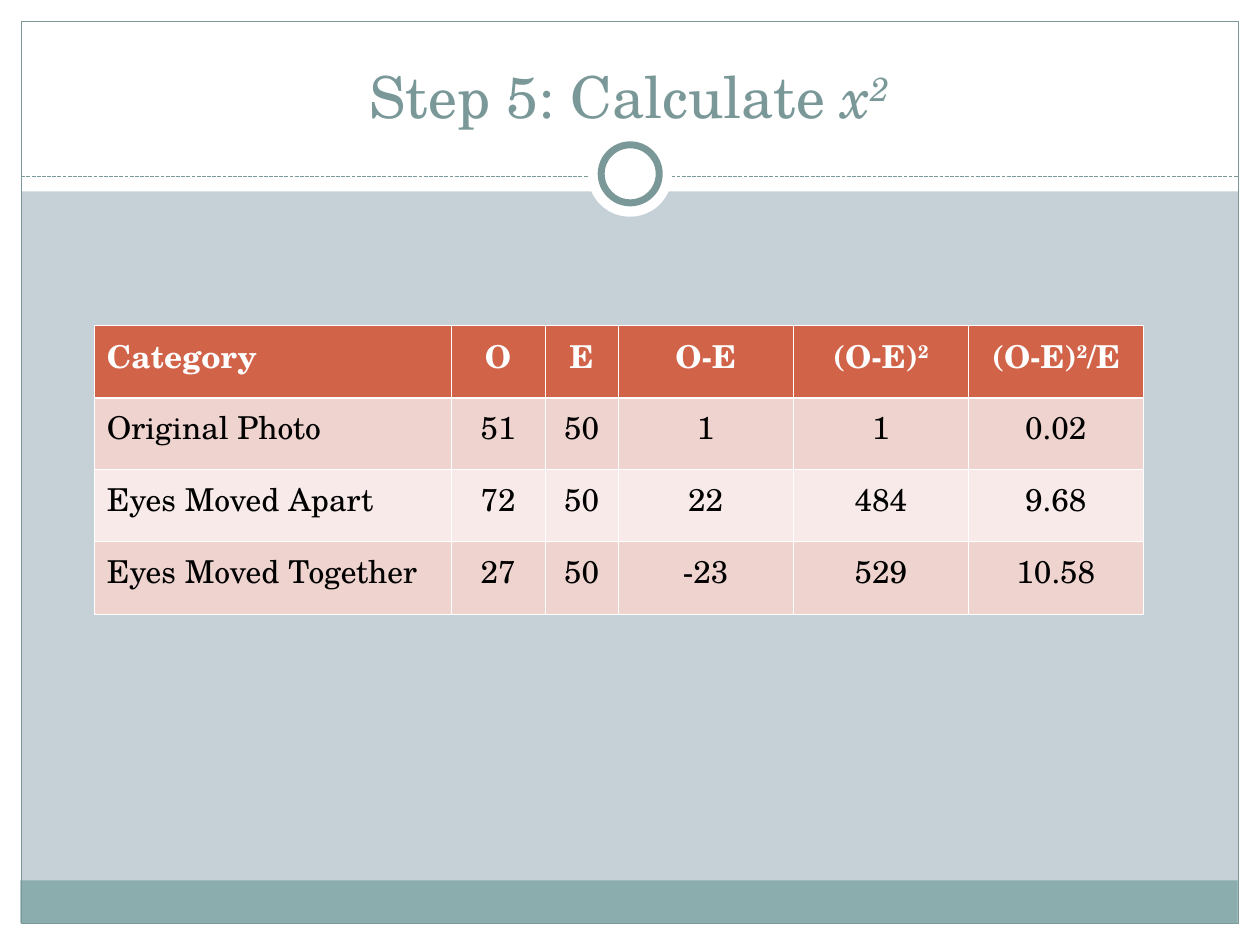
from lxml import etree
from pptx import Presentation
from pptx.dml.color import RGBColor
from pptx.enum.dml import MSO_LINE
from pptx.enum.shapes import MSO_CONNECTOR, MSO_SHAPE
from pptx.enum.text import MSO_ANCHOR, PP_ALIGN
from pptx.oxml.ns import qn
from pptx.util import Cm, Pt

RECTANGLE, OVAL = MSO_SHAPE.RECTANGLE, MSO_SHAPE.OVAL
STRAIGHT, DASHED = MSO_CONNECTOR.STRAIGHT, MSO_LINE.SQUARE_DOT
LEFT, CENTER = PP_ALIGN.LEFT, PP_ALIGN.CENTER
FONT = "TeX Gyre Schola"
WHITE, TEAL = "FFFFFF", "7B9899"


def color(value):
    return RGBColor.from_string(value)


def write(frame, text, align, ink, formats):
    """Write one paragraph; parts between ^ marks are superscript."""
    para = frame.paragraphs[0]
    para.alignment = align
    for index, part in enumerate(text.split("^")):
        if not part:
            continue
        span = para.add_run()
        span.text = part
        span.font.color.rgb = color(ink)
        for name, value in formats.items():
            setattr(span.font, name, value)
        if index % 2:
            span.font._element.set("baseline", "30000")
    return para


deck = Presentation()
deck.slide_width, deck.slide_height = Cm(25.4), Cm(19.05)
page = deck.slides.add_slide(deck.slide_layouts[6])
page.background.fill.solid()
page.background.fill.fore_color.rgb = color("C5D1D7")

# White margins, footer band, frame, divider and ring, from back to front
decorations = [
    (RECTANGLE, 0, 18.62, 25.4, 0.43, WHITE, None),
    (RECTANGLE, 0, 0, 25.4, 3.86, WHITE, None),
    (RECTANGLE, 0, 0, 0.43, 19.05, WHITE, None),
    (RECTANGLE, 24.97, 0, 0.43, 19.05, WHITE, None),
    (RECTANGLE, 0.41, 17.75, 24.54, 0.86, "8CADAE", None),
    (RECTANGLE, 0.43, 0.43, 24.54, 18.19, None, 0.75),
    ("divider", 0.43, 3.56, 24.54, 0, None, 0.75),
    (OVAL, 11.85, 2.67, 1.7, 1.7, WHITE, None),
    (OVAL, 12.12, 2.92, 1.17, 1.17, WHITE, 4),
]
for kind, left, top, width, height, fill, line_width in decorations:
    if kind == "divider":
        shape = page.shapes.add_connector(
            STRAIGHT, Cm(left), Cm(top), Cm(left + width), Cm(top))
        shape.line.dash_style = DASHED
        etree.SubElement(shape._element.spPr, qn("a:effectLst"))
    else:
        shape = page.shapes.add_shape(
            kind, Cm(left), Cm(top), Cm(width), Cm(height))
        shape.shadow.inherit = False
        if fill:
            shape.fill.solid()
            shape.fill.fore_color.rgb = color(fill)
        else:
            shape.fill.background()
    if line_width:
        shape.line.color.rgb = color(TEAL)
        shape.line.width = Pt(line_width)
    else:
        shape.line.fill.background()

# Title
title = page.shapes.add_textbox(Cm(0.84), Cm(0.64), Cm(23.7), Cm(2.11)).text_frame
title.word_wrap = True
title.vertical_anchor = MSO_ANCHOR.BOTTOM
heading = write(title, "Step 5: Calculate ", CENTER, TEAL,
                {"name": FONT, "size": Pt(33)})
write(title, "x^2", CENTER, TEAL, {"name": FONT, "size": Pt(33), "italic": True})

# Chi-square table
rows = [
    ["Category", "O", "E", "O-E", "(O-E)^2", "(O-E)^2^/E"],
    ["Original Photo", "51", "50", "1", "1", "0.02"],
    ["Eyes Moved Apart", "72", "50", "22", "484", "9.68"],
    ["Eyes Moved Together", "27", "50", "-23", "529", "10.58"],
]
row_fills = ["D16349", "EED3CF", "F7EAE9", "EED3CF"]
column_widths = [7.19, 1.9, 1.47, 3.53, 3.53, 3.53]
row_heights = [1.47, 1.45, 1.45, 1.47]
table = page.shapes.add_table(
    len(rows), len(column_widths), Cm(1.9), Cm(6.55),
    Cm(sum(column_widths)), Cm(sum(row_heights))).table
for column, width in zip(table.columns, column_widths):
    column.width = Cm(width)
for row, height in zip(table.rows, row_heights):
    row.height = Cm(height)

for r, texts in enumerate(rows):
    header = r == 0
    for c, text in enumerate(texts):
        cell = table.cell(r, c)
        write(cell.text_frame, text, CENTER if c else LEFT,
              WHITE if header else "000000",
              {"name": FONT, "size": Pt(18), "bold": header})
        # White borders, thicker below the header
        properties = cell._tc.get_or_add_tcPr()
        thick_side = {0: "lnB", 1: "lnT"}.get(r)
        for side in ("lnL", "lnR", "lnT", "lnB"):
            weight = Pt(1.47 if side == thick_side else 0.45)
            border = etree.SubElement(properties, qn("a:" + side), w=str(weight))
            paint = etree.SubElement(border, qn("a:solidFill"))
            etree.SubElement(paint, qn("a:srgbClr"), val=WHITE)
        cell.fill.solid()
        cell.fill.fore_color.rgb = color(row_fills[r])

deck.save("out.pptx")
